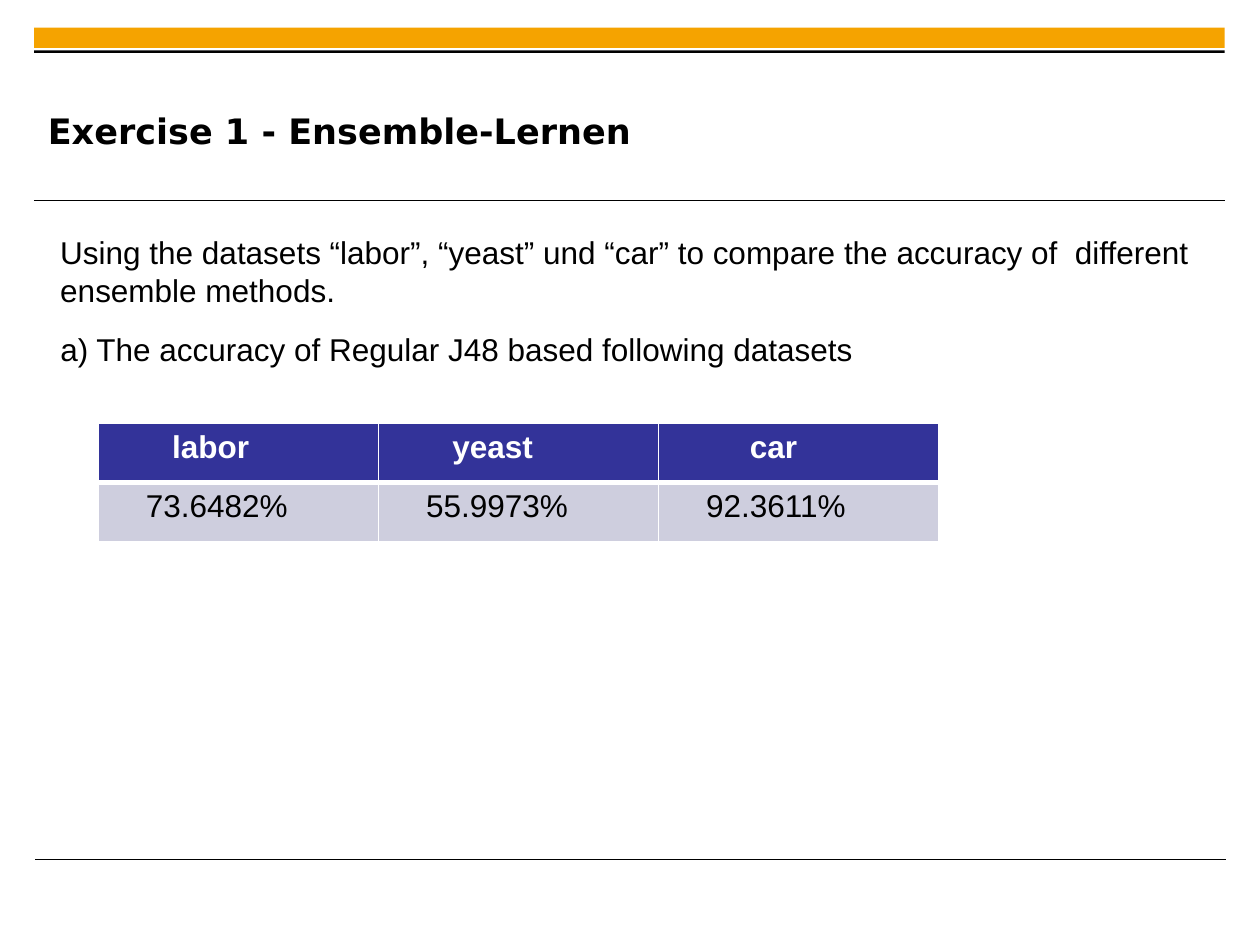
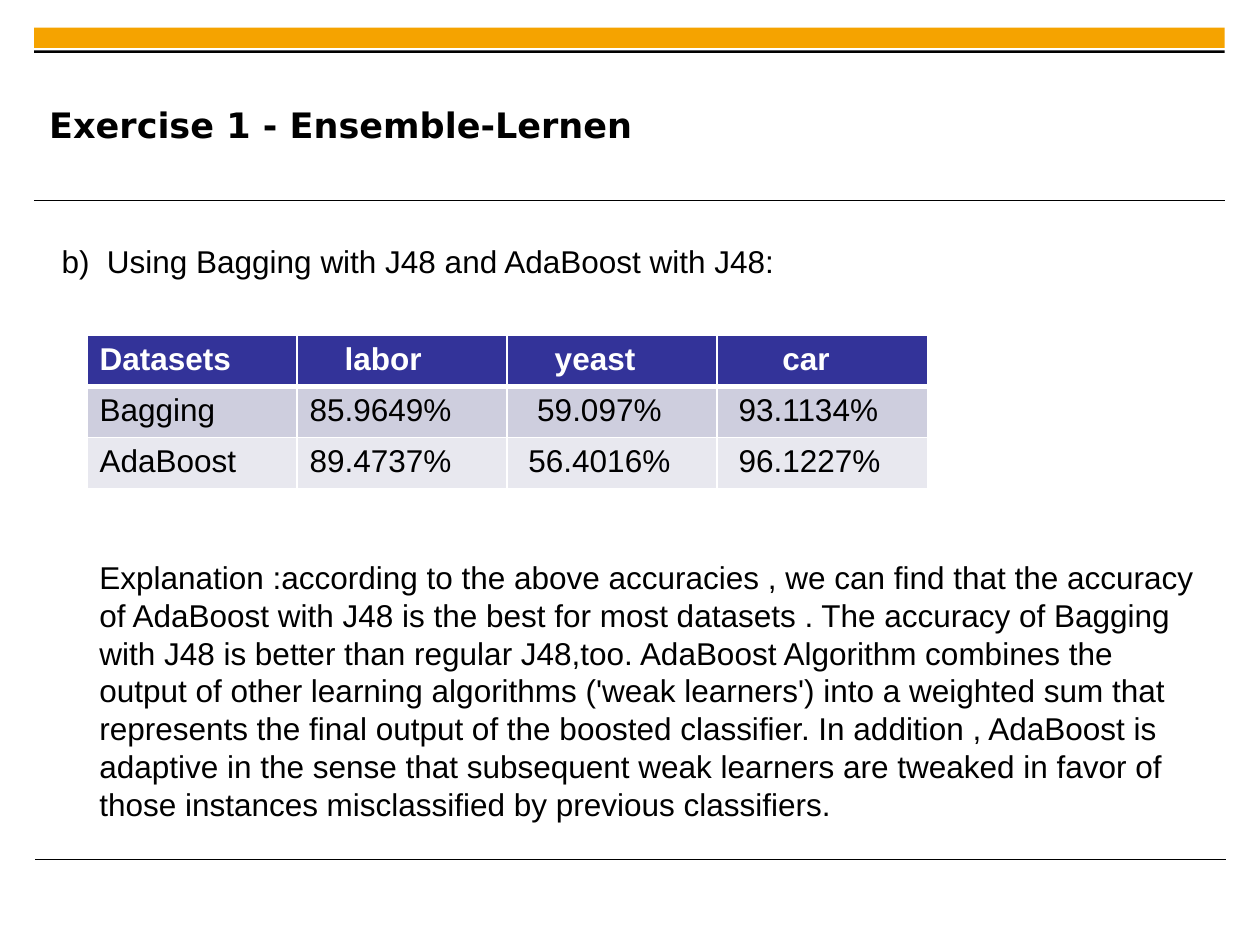
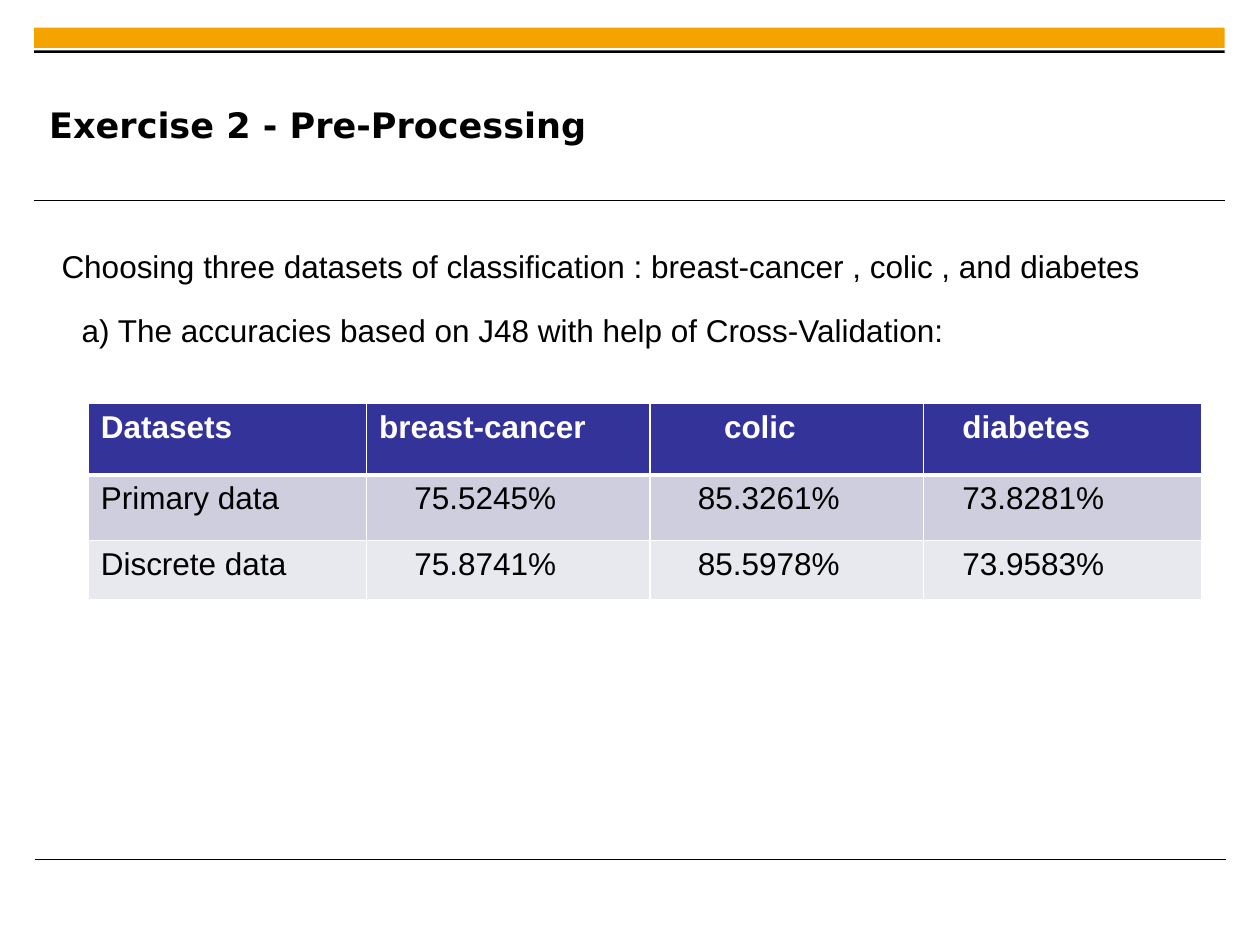
from collections import namedtuple

from lxml import etree
from pptx import Presentation
from pptx.dml.color import RGBColor
from pptx.enum.shapes import MSO_CONNECTOR, MSO_SHAPE
from pptx.enum.text import MSO_ANCHOR
from pptx.oxml.ns import qn
from pptx.util import Inches, Pt

STRAIGHT = MSO_CONNECTOR.STRAIGHT
RECTANGLE = MSO_SHAPE.RECTANGLE
TOP, MIDDLE = MSO_ANCHOR.TOP, MSO_ANCHOR.MIDDLE

COLORS = {
    "ink": "000000",
    "paper": "FFFFFF",
    "band": "F5A300",
    "header": "333399",
    "odd_row": "CECEDE",
    "even_row": "E8E8EF",
}
TITLE_FONT, BODY_FONT = "DejaVu Sans", "Arial"
TITLE_SIZE, BODY_SIZE = 20, 18

# The slide is a grid of 100 columns and 75 rows
SLIDE_WIDTH, SLIDE_HEIGHT = Inches(10), Inches(7.5)
COLUMN, ROW = SLIDE_WIDTH / 100, SLIDE_HEIGHT / 75
CELL_INSET = 1      # columns
INDENT_STEP = 0.695  # columns, one step of a cell's indent

Box = namedtuple("Box", "left top width height")
FRAME_LEFT, FRAME_WIDTH = 2.7, 94.5
TITLE_BOX = Box(3.9, 5.3, 75.2, 9.2)


def across(columns):
    return round(columns * COLUMN)


def down(rows):
    return round(rows * ROW)


def place(box):
    return across(box.left), down(box.top), across(box.width), down(box.height)


def color(name):
    return RGBColor.from_string(COLORS[name])


def set_font(para, name, size, ink="ink", bold=False):
    font = para.font
    font.name, font.size, font.bold = name, Pt(size), bold
    font.color.rgb = color(ink)


# Shared frame
def add_bar(page, top, height, fill):
    bar = page.shapes.add_shape(
        RECTANGLE, *place(Box(FRAME_LEFT, top, FRAME_WIDTH, height)))
    bar.shadow.inherit = False
    bar.fill.solid()
    bar.fill.fore_color.rgb = color(fill)
    bar.line.fill.background()


def add_rule(page, left, top):
    rule = page.shapes.add_connector(
        STRAIGHT, across(left), down(top), across(left + FRAME_WIDTH), down(top))
    rule.line.color.rgb = color("ink")
    rule.line.width = Pt(0.6)
    etree.SubElement(rule._element.spPr, qn("a:effectLst"))


def add_text(page, box, text, name=BODY_FONT, size=BODY_SIZE, bold=False):
    frame = page.shapes.add_textbox(*place(box)).text_frame
    frame.word_wrap = True
    frame.vertical_anchor = TOP
    para = frame.paragraphs[0]
    para.text = text
    set_font(para, name, size, bold=bold)
    return frame


def add_page(deck, title, title_box=TITLE_BOX):
    page = deck.slides.add_slide(deck.slide_layouts[6])
    add_bar(page, 2.2, 1.6, "band")
    add_rule(page, FRAME_LEFT, 15.9)
    add_rule(page, FRAME_LEFT + 0.1, 68.2)
    add_bar(page, 4, 0.2, "ink")
    frame = add_text(page, title_box, title, TITLE_FONT, TITLE_SIZE, bold=True)
    frame.vertical_anchor = MIDDLE
    frame.margin_left = frame.margin_right = 0
    frame.margin_top = frame.margin_bottom = 0
    return page


# Accuracy tables
def set_borders(cell, row):
    """Thin white lines, with a thick one under the header."""
    widths = {"lnL": 1, "lnR": 1,
              "lnT": 3 if row == 1 else 1,
              "lnB": 3 if row == 0 else 1}
    properties = cell._tc.get_or_add_tcPr()
    for position, (side, width) in enumerate(widths.items()):
        line = etree.Element(qn(f"a:{side}"), w=str(Pt(width)))
        fill = etree.SubElement(line, qn("a:solidFill"))
        etree.SubElement(fill, qn("a:srgbClr"), val=COLORS["paper"])
        properties.insert(position, line)


def style_cell(cell, row, text, indent):
    cell.text = text
    cell.margin_left = across(CELL_INSET + indent * INDENT_STEP)
    cell.fill.solid()
    if row == 0:
        fill = "header"
    else:
        fill = "odd_row" if row % 2 else "even_row"
    cell.fill.fore_color.rgb = color(fill)
    header = row == 0
    set_font(cell.text_frame.paragraphs[0], BODY_FONT, BODY_SIZE,
             "paper" if header else "ink", bold=header)
    set_borders(cell, row)


def add_accuracy_table(page, box, rows, indents, widths=None, heights=None):
    """Sizes default to equal shares of the box; indents are in steps."""
    row_count, column_count = len(rows), len(rows[0])
    widths = widths or [box.width / column_count] * column_count
    heights = heights or [box.height / row_count] * row_count
    table = page.shapes.add_table(row_count, column_count, *place(box)).table
    table.horz_banding = False
    for column, width in zip(table.columns, widths):
        column.width = across(width)
    for table_row, height in zip(table.rows, heights):
        table_row.height = down(height)
    for row, (texts, steps) in enumerate(zip(rows, indents)):
        for column, (text, step) in enumerate(zip(texts, steps)):
            style_cell(table.cell(row, column), row, text, step)


# Slides
def add_regular_page(deck):
    page = add_page(deck, "Exercise 1 - Ensemble-Lernen", Box(3.8, 4.7, 86.3, 11.3))
    add_text(page, Box(3.8, 25.7, 89.9, 4),
             "a) The accuracy of Regular J48 based following datasets")
    add_text(page, Box(3.8, 18, 92.3, 7.1),
             "Using the datasets “labor”, “yeast” und “car” to compare the "
             "accuracy of  different ensemble methods.")
    add_accuracy_table(
        page, Box(7.8, 33.6, 66.7, 9.4),
        [["labor", "yeast", "car"],
         ["73.6482%", "55.9973%", "92.3611%"]],
        indents=[[7, 7, 9], [4, 4, 4]])


def add_ensemble_page(deck):
    page = add_page(deck, "Exercise 1 - Ensemble-Lernen")
    add_text(page, Box(3.9, 18.7, 88.3, 4),
             "b)  Using Bagging with J48 and AdaBoost with J48:")
    add_accuracy_table(
        page, Box(6.9, 26.6, 66.7, 12.2),
        [["Datasets", "labor", "yeast", "car"],
         ["Bagging", "85.9649%", "59.097%", "93.1134%"],
         ["AdaBoost", "89.4737%", "56.4016%", "96.1227%"]],
        indents=[[0, 4, 4, 6], [0, 0, 2, 1], [0, 0, 1, 1]])
    add_text(page, Box(6.9, 43.8, 90, 22.2),
             "Explanation :according to the above accuracies , we can find that "
             "the accuracy of AdaBoost with J48 is the best for most datasets . "
             "The accuracy of Bagging with J48 is better than regular J48,too. "
             "AdaBoost Algorithm combines the output of other learning "
             "algorithms ('weak learners') into a weighted sum that represents "
             "the final output of the boosted classifier. In addition , AdaBoost "
             "is adaptive in the sense that subsequent weak learners are tweaked "
             "in favor of those instances misclassified by previous classifiers.")


def add_preprocessing_page(deck):
    page = add_page(deck, "Exercise 2 - Pre-Processing")
    add_text(page, Box(3.9, 19.1, 88.3, 4),
             "Choosing three datasets of classification : breast-cancer , "
             "colic , and diabetes")
    add_text(page, Box(5.5, 24.2, 92.2, 4),
             "a) The accuracies based on J48 with help of Cross-Validation:")
    add_accuracy_table(
        page, Box(7, 32, 88.3, 15.6),
        [["Datasets", "breast-cancer", "colic", "diabetes"],
         ["Primary data", "75.5245%", "85.3261%", "73.8281%"],
         ["Discrete data", "75.8741%", "85.5978%", "73.9583%"]],
        indents=[[0, 0, 7, 3], [0, 4, 4, 3], [0, 4, 4, 3]],
        widths=[22.1, 22.5, 21.7, 22.1], heights=[5.7, 5.2, 4.7])


def main():
    deck = Presentation()
    deck.slide_width, deck.slide_height = SLIDE_WIDTH, SLIDE_HEIGHT
    add_regular_page(deck)
    add_ensemble_page(deck)
    add_preprocessing_page(deck)
    deck.save("out.pptx")


if __name__ == "__main__":
    main()
